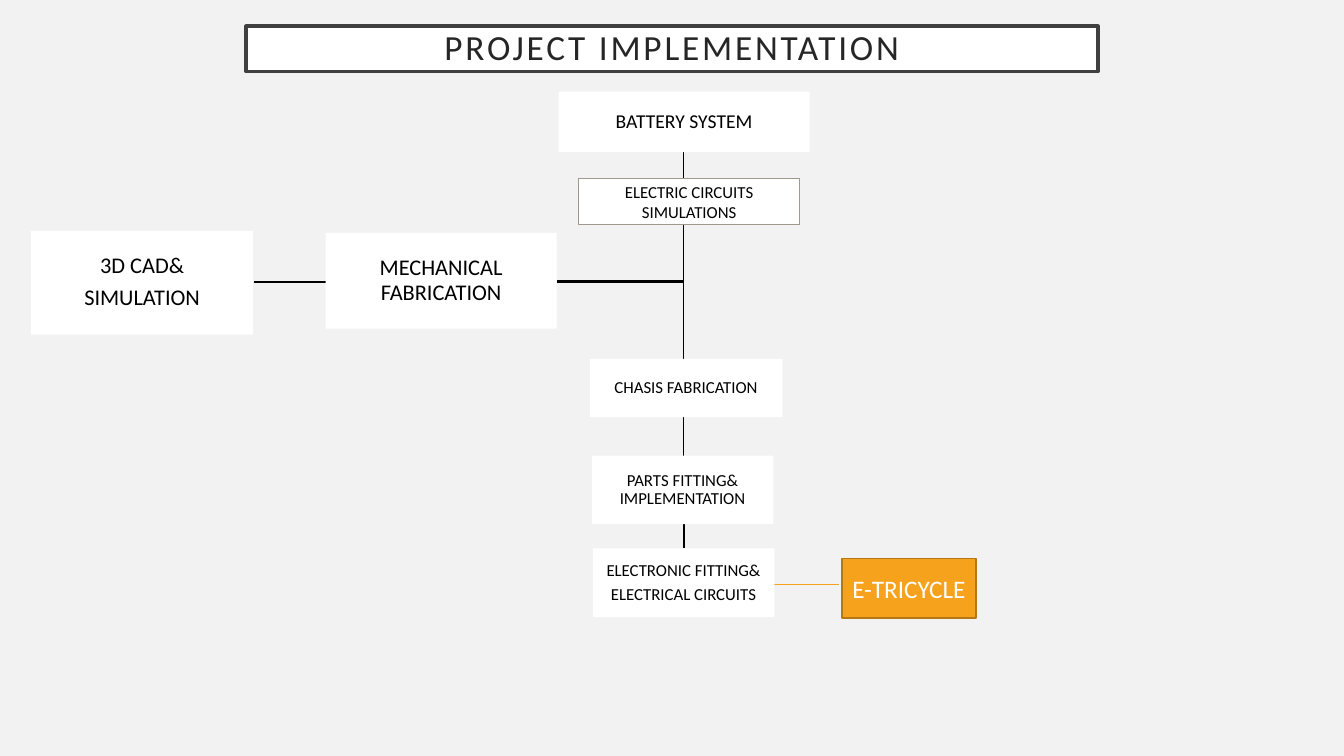
"""Build the project implementation flow slide."""
from lxml.etree import SubElement
from pptx import Presentation
from pptx.dml.color import RGBColor as RGB
from pptx.enum.shapes import MSO_CONNECTOR as LINK, MSO_SHAPE as SHAPE
from pptx.enum.text import MSO_ANCHOR as ANCHOR, PP_ALIGN as ALIGN
from pptx.oxml.ns import qn
from pptx.util import Inches, Pt

COLORS = {
    "background": "F2F2F2", "white": "FFFFFF", "black": "000000",
    "title_text": "262626", "title_border": "404040",
    "circuit_border": "A0988C", "orange": "F6A21D", "dark_orange": "B67815",
}


def color(name):
    return RGB.from_string(COLORS[name])


def add_box(area, text, size, ink="black", fill="white", border=None, weight=1, spacing=0.9):
    box = slide.shapes.add_shape(SHAPE.RECTANGLE, *map(Inches, area))
    box.shadow.inherit = False
    box.fill.solid()
    box.fill.fore_color.rgb = color(fill)
    if border:
        box.line.color.rgb = color(border)
        box.line.width = Pt(weight)
    else:
        box.line.fill.background()
    frame = box.text_frame
    frame.word_wrap = True
    frame.vertical_anchor = ANCHOR.MIDDLE
    frame.margin_left = frame.margin_right = Inches(0.05)
    frame.margin_top = frame.margin_bottom = Inches(0.01)
    frame.text = text
    for paragraph in frame.paragraphs:
        paragraph.alignment = ALIGN.CENTER
        paragraph.line_spacing = spacing
        paragraph.space_after = Pt(round(size * 0.35, 1))
        for run in paragraph.runs:
            run.font.name = "Calibri"
            run.font.size = Pt(size)
            run.font.color.rgb = color(ink)
    return box


deck = Presentation()
deck.slide_width, deck.slide_height = Inches(13.33), Inches(7.5)
slide = deck.slides.add_slide(deck.slide_layouts[6])
slide.background.fill.solid()
slide.background.fill.fore_color.rgb = color("background")

trunk = 6.78
links = [
    (trunk, 1.51, trunk, 3.56, "black", 1),
    (trunk, 4.14, trunk, 4.52, "black", 1),
    (trunk, 5.2, trunk, 5.44, "black", 1.5),
    (2.52, 2.8, 3.23, 2.8, "black", 1.5),
    (5.52, 2.79, trunk, 2.79, "black", 2),
    (7.68, 5.8, 8.32, 5.8, "orange", 0.5),
]
for *ends, ink, weight in links:
    link = slide.shapes.add_connector(LINK.STRAIGHT, *map(Inches, ends))
    link.line.color.rgb = color(ink)
    link.line.width = Pt(weight)
    SubElement(link._element.spPr, qn("a:effectLst"))

title = add_box((2.44, 0.26, 8.45, 0.45), "PROJECT IMPLEMENTATION", 25.2,
                ink="title_text", border="title_border", weight=2.5)
title.text_frame.paragraphs[0].runs[0].font._element.set("spc", "200")

steps = [
    ((5.54, 0.91, 2.49, 0.6), "BATTERY SYSTEM", 14),
    ((0.31, 2.29, 2.2, 1.03), "3D CAD&\nSIMULATION", 16),
    ((3.23, 2.31, 2.29, 0.95), "MECHANICAL FABRICATION", 16),
    ((5.85, 3.56, 1.91, 0.58), "CHASIS FABRICATION", 12),
    ((5.87, 4.52, 1.8, 0.68), "PARTS FITTING& IMPLEMENTATION", 12),
    ((5.88, 5.44, 1.8, 0.68), "ELECTRONIC FITTING&\nELECTRICAL CIRCUITS", 12),
]
for area, text, size in steps:
    add_box(area, text, size)

add_box((5.74, 1.77, 2.19, 0.46), "ELECTRIC CIRCUITS SIMULATIONS", 12,
        border="circuit_border", spacing=1.0)
add_box((8.35, 5.54, 1.33, 0.59), "E-TRICYCLE", 18, ink="white",
        fill="orange", border="dark_orange", spacing=1.0)

deck.save("out.pptx")
